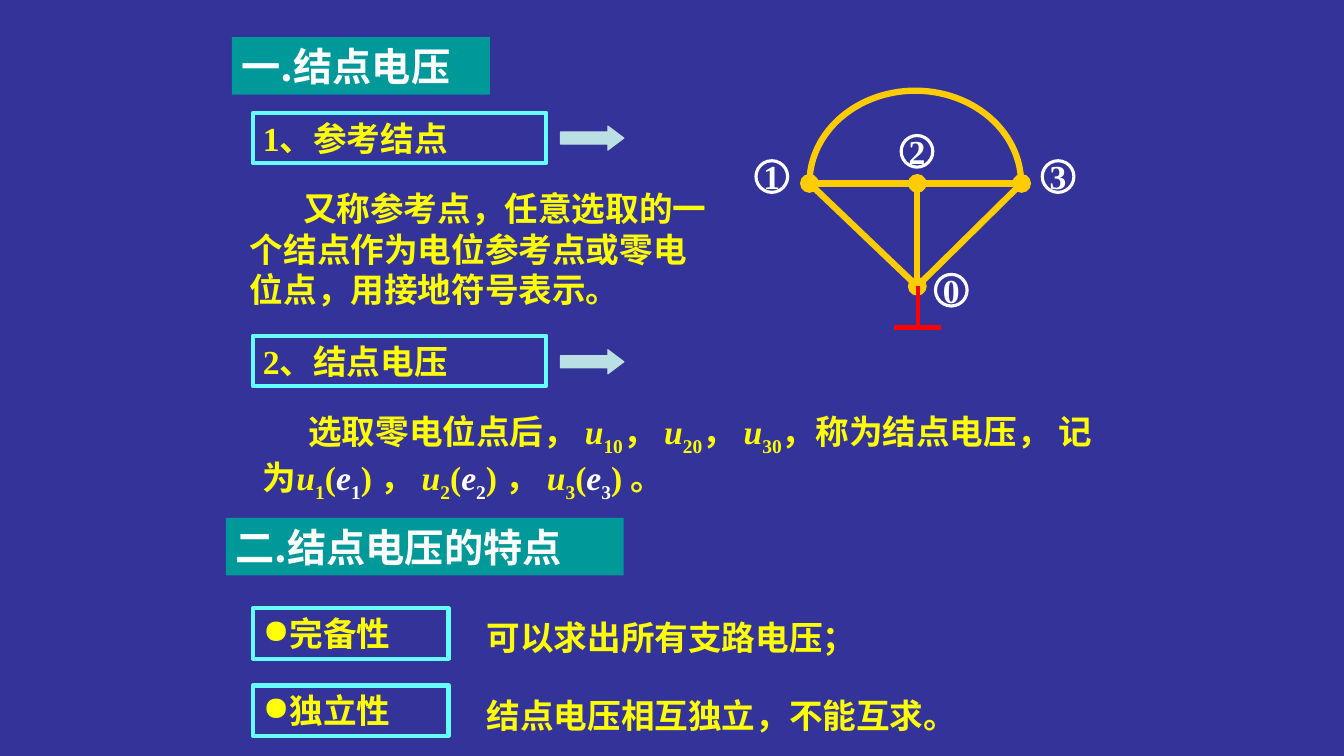
import pptx
import pptx.dml.color
import pptx.enum.shapes
import pptx.enum.text
import pptx.oxml
import pptx.oxml.ns
import pptx.util
from dataclasses import dataclass
from lxml import etree

Pt = pptx.util.Pt
RGB = pptx.dml.color.RGBColor.from_string
SHAPE = pptx.enum.shapes.MSO_SHAPE
ALIGN = pptx.enum.text.PP_ALIGN
ANCHOR = pptx.enum.text.MSO_ANCHOR
qn = pptx.oxml.ns.qn


@dataclass(frozen=True)
class Theme:
    background: object = RGB("333399")
    heading: object = RGB("009999")
    frame: object = RGB("66FFFF")
    arrow: object = RGB("BBE0E3")
    branch: object = RGB("FFCC00")
    ground: object = RGB("FF0000")
    body: object = RGB("FFFF00")
    white: object = RGB("FFFFFF")
    heading_size: object = Pt(28)
    body_size: object = Pt(24)
    cjk: str = "Noto Sans CJK SC"
    serif: str = "Times New Roman"
    sans: str = "Arial"


theme = Theme()


def add_block(kind, left, top, width, height, fill=None, line=None, weight=0.75):
    """Add a preset shape, or a text box when kind is None."""
    box = [Pt(v) for v in (left, top, width, height)]
    if kind is None:
        block = slide.shapes.add_textbox(*box)
    else:
        block = slide.shapes.add_shape(kind, *box)
        block.shadow.inherit = False
        for paint, color in ((block.fill, fill), (block.line.fill, line)):
            if color is None:
                paint.background()
            else:
                paint.solid()
                paint.fore_color.rgb = color
        if line is not None:
            block.line.width = Pt(weight)
    block.text_frame.word_wrap = True
    block.text_frame.vertical_anchor = ANCHOR.TOP
    block.text_frame.paragraphs[0].alignment = ALIGN.LEFT
    return block


def style_run(run, font_name, color=theme.body, size=theme.body_size):
    """Format a bold run, with the shared East Asian font."""
    run.font.name = font_name
    run.font.size = size
    run.font.bold = True
    run.font.color.rgb = color
    etree.SubElement(run.font._element, qn("a:ea")).set("typeface", theme.cjk)


deck = pptx.Presentation()
deck.slide_width, deck.slide_height = Pt(960), Pt(540)
slide = deck.slides.add_slide(deck.slide_layouts[6])
slide.background.fill.solid()
slide.background.fill.fore_color.rgb = theme.background

# Section headings
for text, left, top, width in (("一.结点电压", 165.6, 26.6, 184.3),
                               ("二.结点电压的特点", 161.3, 370, 284.2)):
    heading = add_block(SHAPE.RECTANGLE, left, top, width, 41, fill=theme.heading)
    heading.text_frame.text = text
    style_run(heading.text_frame.paragraphs[0].runs[0], theme.cjk, theme.white,
              theme.heading_size)

# Framed terms, two of them bulleted
for text, top, width, bulleted in (("1、参考结点", 80.6, 209.5, False),
                                   ("2、结点电压", 239.8, 209.5, False),
                                   ("完备性", 434.5, 139.7, True),
                                   ("独立性", 489.6, 139.7, True)):
    term = add_block(SHAPE.RECTANGLE, 180.7, top, width, 36, line=theme.frame, weight=3)
    term.text_frame.text = text
    paragraph = term.text_frame.paragraphs[0]
    if bulleted:
        properties = paragraph._p.get_or_add_pPr()
        properties.set("marL", "0")
        properties.set("indent", "0")
        etree.SubElement(properties, qn("a:buChar")).set("char", "●")
    style_run(paragraph.runs[0], theme.serif)

# Arrows beside the numbered terms
for top in (90, 249.8):
    arrow = add_block(SHAPE.RIGHT_ARROW, 400.3, top, 45.4, 17.3,
                      fill=theme.arrow, line=theme.arrow)
    arrow.adjustments[0] = 0.5
    arrow.adjustments[1] = 0.667

# Reference node definition
definition = add_block(None, 171.4, 131, 344.2, 94.3)
definition.text_frame.text = "又称参考点，任意选取的一个结点作为电位参考点或零电位点，用接地符号表示。"
paragraph = definition.text_frame.paragraphs[0]
paragraph._p.get_or_add_pPr().set("indent", str(Pt(38)))
style_run(paragraph.runs[0], theme.sans)

# Node voltage definition: (text, kind) pieces
pieces = [("选取零电位点后， ", "plain")]
for node in "123":
    pieces += [("u", "symbol"), (node + "0", "index"),
               ("，" if node == "3" else "， ", "serif")]
pieces.append(("称为结点电压， 记为", "plain"))
for node in "123":
    pieces += [("u", "symbol"), (node, "index"), ("(", "serif"),
               ("e", "white symbol"), (node, "white index"),
               (") 。" if node == "3" else ") ， ", "serif")]

voltages = add_block(None, 180.7, 290.2, 617, 65.5)
paragraph = voltages.text_frame.paragraphs[0]
paragraph._p.get_or_add_pPr().set("indent", str(Pt(32.5)))
for text, kind in pieces:
    run = paragraph.add_run()
    run.text = text
    style_run(run, theme.sans if kind == "plain" else theme.serif,
              theme.white if "white" in kind else theme.body)
    run.font.italic = "symbol" in kind
    if "index" in kind:
        run.font._element.set("baseline", "-25000")

# Explanations of the two properties
for text, top, width in (("可以求出所有支路电压；", 431.3, 314),
                         ("结点电压相互独立，不能互求。", 486.7, 374.4)):
    explanation = add_block(None, 340.6, top, width, 42.5)
    explanation.text_frame.text = text
    paragraph = explanation.text_frame.paragraphs[0]
    paragraph.alignment = ALIGN.JUSTIFY
    paragraph.line_spacing = 1.2
    style_run(paragraph.runs[0], theme.cjk)

# Circuit graph: outer arc
arc = add_block(SHAPE.ARC, 578.2, 64.8, 151.2, 132.4, line=theme.branch, weight=4.5)
arc.adjustments[0] = 108  # 180 degrees
arc.adjustments[1] = 0

# Circuit graph: branches and ground symbol
node1, node2, node3, node0 = (578.2, 131), (655.2, 131), (729.7, 131), (655.2, 204.5)
ground_y = 234
for start, end, color, weight, dotted in (
        (node2, node0, theme.branch, 4.5, True),
        (node1, node0, theme.branch, 4.5, False),
        (node3, node0, theme.branch, 4.5, False),
        (node1, node3, theme.branch, 4.5, True),
        ((655.9, 204.5), (655.9, ground_y), theme.ground, 3, False),
        ((638.6, ground_y), (672.5, ground_y), theme.ground, 3, False)):
    branch = slide.shapes.add_connector(pptx.enum.shapes.MSO_CONNECTOR.STRAIGHT,
                                        *[Pt(v) for v in start + end])
    branch.line.color.rgb = color
    branch.line.width = Pt(weight)
    if dotted:
        for tag in ("a:headEnd", "a:tailEnd"):
            etree.SubElement(branch.line._get_or_add_ln(), qn(tag)).set("type", "oval")
    etree.SubElement(branch._element.spPr, qn("a:effectLst"))

# Circled node numbers
for number, left, top in (("1", 540, 114.8), ("3", 744.5, 114.8),
                          ("2", 643.7, 96.8), ("0", 668.2, 196)):
    label = add_block(SHAPE.OVAL, left, top, 22.6, 22.6, line=theme.white, weight=2.25)
    frame = label.text_frame
    frame.margin_left = frame.margin_right = frame.margin_top = frame.margin_bottom = 0
    frame.word_wrap = False
    frame.vertical_anchor = ANCHOR.MIDDLE
    frame.text = number
    frame.paragraphs[0].alignment = ALIGN.CENTER
    style_run(frame.paragraphs[0].runs[0], theme.serif, theme.white)

deck.save("out.pptx")
